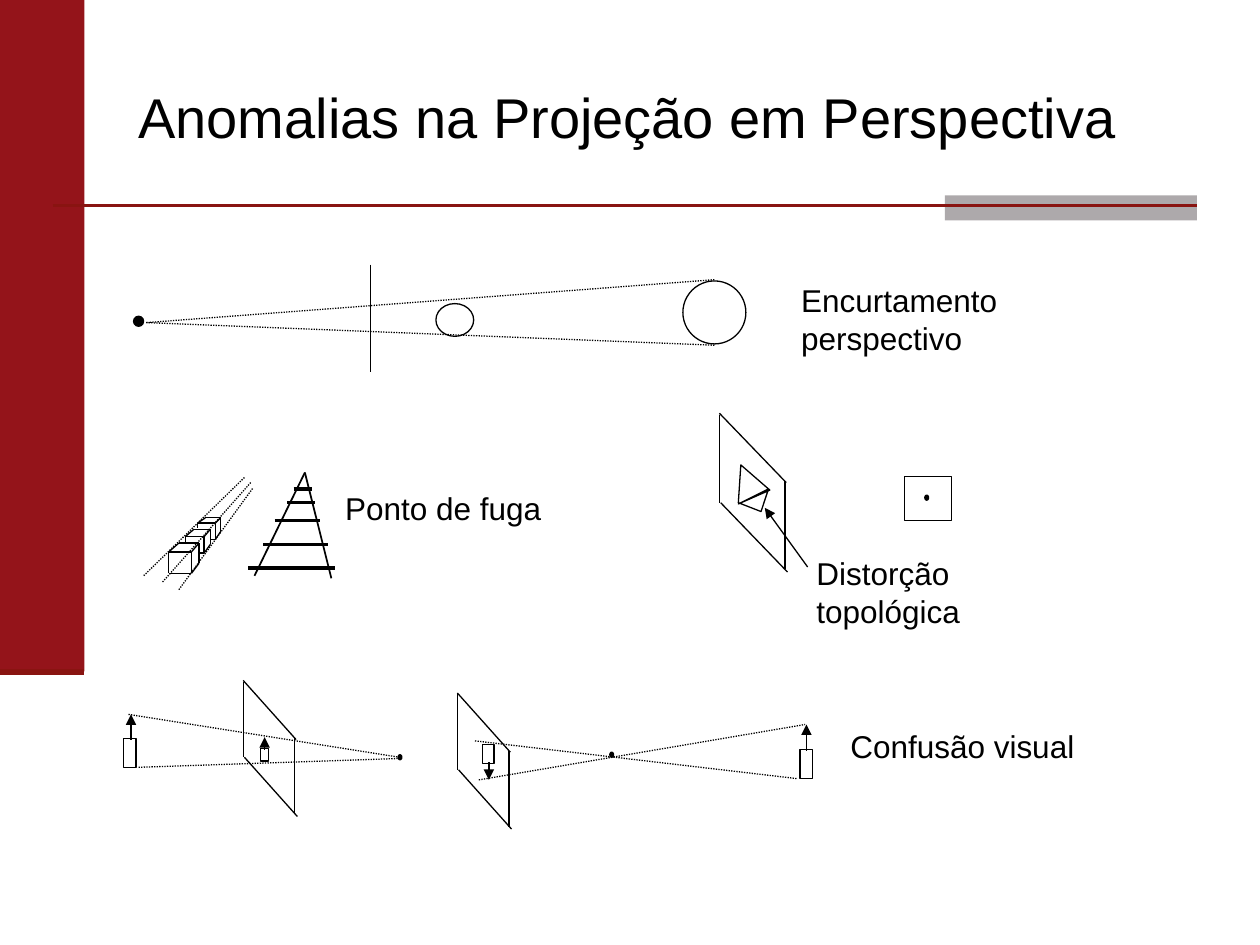
"""Build the slide on anomalies of perspective projection."""
import pptx
import pptx.dml.color
import pptx.enum.dml
import pptx.enum.shapes
import pptx.enum.text
import pptx.oxml
import pptx.util

SHAPES = pptx.enum.shapes.MSO_SHAPE
ALIGN = pptx.enum.text.PP_ALIGN
ANCHOR = pptx.enum.text.MSO_ANCHOR
BLACK, RED, DARK_RED, GREY = "000000", "94141A", "891411", "ADA9AB"
DRAWING_NS = 'xmlns:a="http://schemas.openxmlformats.org/drawingml/2006/main"'

TITLE = ("Anomalias na Projeção em Perspectiva", (1, 0.3, 8.5, 1.25))
LABELS = [
    ("Encurtamento perspectivo", (6.26, 2.18, 2.84, 0.7), (0.1, 0.05)),
    ("Distorção topológica", (6.47, 4.39, 1.83, 0.2), (0.01, 0.01)),
    ("Ponto de fuga", (2.64, 3.83, 2.05, 0.4), (0.1, 0.05)),
    ("Confusão visual", (6.65, 5.72, 2.52, 0.4), (0.1, 0.05)),
]
BANDS = [((0, 0, 0.67, 5.33), RED), ((7.5, 1.55, 2, 0.2), GREY)]
RULES = [((0.42, 1.63, 9.5, 1.63), 1.5), ((0, 5.33, 0.67, 5.33), 3.5)]

SPHERES = [(3.46, 2.41, 0.3, 0.26), (5.42, 2.23, 0.5, 0.5)]
DOTS = [(1.06, 2.51, 0.08, 0.08), (3.16, 5.99, 0.03, 0.04),
        (4.84, 5.97, 0.03, 0.04), (7.34, 3.93, 0.03, 0.04)]
BOXES = [(0.98, 5.86, 0.1, 0.23), (2.07, 5.94, 0.06, 0.1), (6.35, 5.95, 0.1, 0.23),
         (3.83, 5.91, 0.09, 0.15), (7.18, 3.78, 0.37, 0.35)]
RAYS = [
    (5.67, 2.22, 1.17, 2.56), (5.67, 2.74, 1.15, 2.56),
    (1.94, 3.79, 1.14, 4.57), (1.99, 3.83, 1.29, 4.62), (1.42, 4.68, 2.01, 3.87),
    (1.02, 5.67, 3.17, 6.01), (1.1, 6.09, 3.17, 6.02),
    (3.8, 6.19, 6.39, 5.75), (3.77, 5.88, 6.33, 6.18),
]
ARROWS = [(1.04, 5.87, 1.04, 5.67), (2.1, 5.95, 2.1, 5.85), (6.4, 5.96, 6.4, 5.75),
          (3.88, 6.05, 3.88, 6.19), (6.41, 4.5, 6.07, 4.03)]
SCREEN_EDGE = (2.94, 2.1, 2.94, 2.95)
RAILS = [(2.42, 3.75, 2.02, 4.57), (2.42, 3.75, 2.63, 4.59)]
SLEEPERS = [(1.97, 2.66, 4.51), (2.09, 2.6, 4.32), (2.18, 2.54, 4.13),
            (2.28, 2.5, 3.99), (2.33, 2.48, 3.88)]
PLANES = [(1.93, 5.4, 0.42, 0.47, 0.6), (3.63, 5.5, 0.42, 0.47, 0.6),
          (5.71, 3.28, 0.53, 0.55, 0.7)]
CUBES = [
    dict(front=(1.34, 4.38, 1.52, 4.55), back=(1.42, 4.31, 1.58, 4.47), hidden=(1.34, 4.55)),
    dict(front=(1.47, 4.26, 1.62, 4.39), back=(1.54, 4.2, 1.67, 4.32), hidden=(1.57, 4.31)),
    dict(front=(1.57, 4.15, 1.71, 4.28), back=(1.63, 4.11, 1.75, 4.22), hidden=(1.67, 4.19)),
]
TWISTED = [(5.88, 3.69), (5.86, 3.99), (6.04, 4.06), (6.1, 3.88), (5.86, 4), (6.11, 3.89)]


def color(hex_value):
    """Return the colour for a hex string."""
    return pptx.dml.color.RGBColor.from_string(hex_value)


def inches(values):
    """Convert numbers to lengths."""
    return [pptx.util.Inches(value) for value in values]


def paint(shape, fill=None, outline=None):
    """Set fill and outline, each left empty when no colour is given."""
    shape.shadow.inherit = False
    for part, hex_value in ((shape.fill, fill), (shape.line.fill, outline)):
        if hex_value:
            part.solid()
            part.fore_color.rgb = color(hex_value)
        else:
            part.background()
    if outline:
        shape.line.width = pptx.util.Pt(0.75)


def add_figure(slide, preset, place, fill=None, outline=BLACK):
    """Add a preset shape."""
    paint(slide.shapes.add_shape(preset, *inches(place)), fill, outline)


def add_line(slide, ends, width=0.75, hex_value=BLACK, dotted=False, arrow=False):
    """Add a straight line, with an arrowhead at its end if asked."""
    line = slide.shapes.add_connector(pptx.enum.shapes.MSO_CONNECTOR.STRAIGHT, *inches(ends))
    line.line.color.rgb = color(hex_value)
    line.line.width = pptx.util.Pt(width)
    if dotted:
        line.line.dash_style = pptx.enum.dml.MSO_LINE.ROUND_DOT
    if arrow:
        line.line._get_or_add_ln().append(
            pptx.oxml.parse_xml(f'<a:tailEnd {DRAWING_NS} type="triangle"/>'))
    line._element.spPr.append(pptx.oxml.parse_xml(f"<a:effectLst {DRAWING_NS}/>"))


def add_text(slide, text, place, size, insets=(0.1, 0.05), anchor=ANCHOR.TOP, align=ALIGN.LEFT):
    """Add a wrapped text box."""
    frame = slide.shapes.add_textbox(*inches(place)).text_frame
    across, down = inches(insets)
    frame_format = dict(word_wrap=True, vertical_anchor=anchor, margin_left=across,
                        margin_right=across, margin_top=down, margin_bottom=down)
    for name, value in frame_format.items():
        setattr(frame, name, value)
    paragraph = frame.paragraphs[0]
    paragraph.alignment = align
    run = paragraph.add_run()
    run.text = text
    for name, value in dict(name="Arial", size=pptx.util.Pt(size)).items():
        setattr(run.font, name, value)
    run.font.color.rgb = color(BLACK)


def plane_edges(x, y, dx, dy, height, gap=0.01):
    """Return the four edges of a slanted projection plane."""
    return [
        (x, y + gap, x, y + height + gap),
        (x, y, x + dx, y + dy),
        (x + gap, y + height + gap, x + dx + gap, y + dy + height + gap),
        (x + dx - gap, y + dy - gap, x + dx - gap, y + dy + height - gap),
    ]


def cube_edges(front, back, hidden):
    """Return the visible edges of a cube partly covered by the one before it."""
    left, top, right, bottom = front
    back_left, back_top, back_right, back_bottom = back
    bottom_start, left_end = hidden
    return [
        (left, top, right, top), (right, top, right, bottom),
        (left, top, left, left_end), (bottom_start, bottom, right, bottom),
        (left, top, back_left, back_top), (right, top, back_right, back_top),
        (right, bottom, back_right, back_bottom),
        (back_left, back_top, back_right, back_top),
        (back_right, back_top, back_right, back_bottom),
    ]


def main():
    """Draw the slide and save it."""
    deck = pptx.Presentation()
    deck.slide_width, deck.slide_height = inches((10, 7.5))
    slide = deck.slides.add_slide(deck.slide_layouts[6])

    for place, fill in BANDS:
        add_figure(slide, SHAPES.RECTANGLE, place, fill, None)
    for ends, width in RULES:
        add_line(slide, ends, width, DARK_RED)
    add_text(slide, *TITLE, 32, anchor=ANCHOR.MIDDLE, align=ALIGN.JUSTIFY)

    for preset, places, fill in ((SHAPES.OVAL, SPHERES, None), (SHAPES.OVAL, DOTS, BLACK),
                                 (SHAPES.RECTANGLE, BOXES, None)):
        for place in places:
            add_figure(slide, preset, place, fill)

    edges = [SCREEN_EDGE]
    for plane in PLANES:
        edges += plane_edges(*plane)
    for cube in CUBES:
        edges += cube_edges(**cube)
    sleepers = [(left, y, right, y) for left, right, y in SLEEPERS]
    for group, style in ((edges, {}), (RAILS, dict(width=1)), (sleepers, dict(width=2)),
                         (RAYS, dict(dotted=True)), (ARROWS, dict(arrow=True))):
        for ends in group:
            add_line(slide, ends, **style)

    corners = [inches(point) for point in TWISTED]
    outline = slide.shapes.build_freeform(*corners[0])
    outline.add_line_segments(corners[1:], close=True)
    paint(outline.convert_to_shape(), outline=BLACK)

    for text, place, insets in LABELS:
        add_text(slide, text, place, 18, insets)
    deck.save("out.pptx")


if __name__ == "__main__":
    main()
